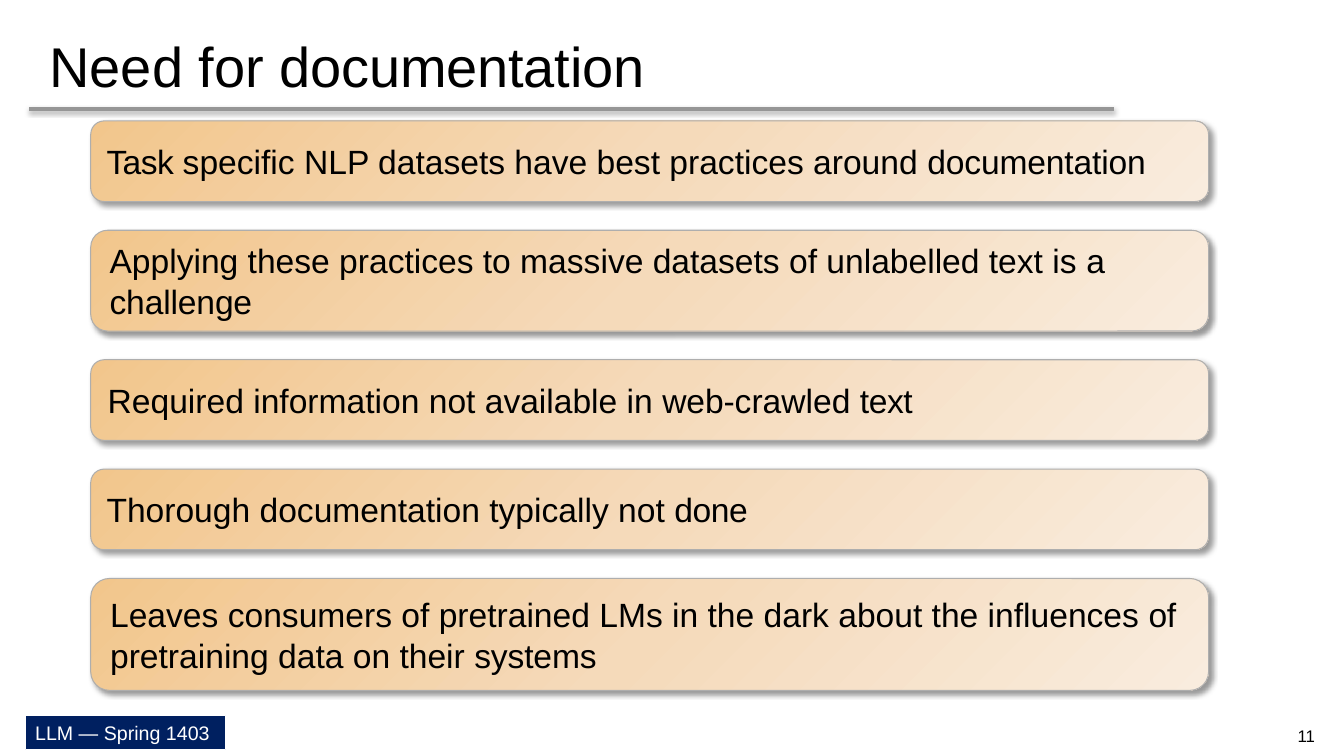
from copy import deepcopy
from dataclasses import dataclass

from lxml.etree import SubElement as Sub
from pptx import Presentation
from pptx.dml.color import RGBColor as RGB
from pptx.enum.shapes import MSO_CONNECTOR as Conn, MSO_SHAPE as Shape
from pptx.enum.text import MSO_ANCHOR as Anchor, PP_ALIGN as Align
from pptx.oxml.ns import qn
from pptx.util import Pt


@dataclass(frozen=True)
class Theme:
    font: str = "Arial"
    ink: str = "000000"
    paper: str = "FFFFFF"
    navy: str = "002060"
    rule: str = "969696"
    edge: str = "AEAEAE"
    fade: tuple = ("F2C68C", "F5DABA", "F9ECDE")
    title: int = 40
    body: int = 24
    foot: int = 14
    page: int = 12


class Deck:
    """Draws styled elements on the current slide, with lengths in points."""

    def __init__(self, theme):
        self.theme = theme
        self.prs = Presentation()
        self.prs.slide_width, self.prs.slide_height = Pt(960), Pt(540)
        self.slide = self.prs.slides.add_slide(self.prs.slide_layouts[6])

    def label(self, shape, runs, size, color, anchor=Anchor.MIDDLE,
              align=Align.LEFT, indent=0, leading=None):
        frame = shape.text_frame
        frame.word_wrap = True
        frame.vertical_anchor = anchor
        para = frame.paragraphs[0]
        para.alignment = align
        if leading:
            para.line_spacing = leading
        para._p.get_or_add_pPr().set("marL", str(Pt(indent)))
        para.font.name, para.font.size = self.theme.font, Pt(size)
        para.font.color.rgb = RGB.from_string(color)
        for text, track in runs:
            run = para.add_run()
            run.text = text
            if track:
                run._r.get_or_add_rPr().set("spc", str(round(track * 100)))
        return frame

    def shade(self, shape, alpha, blur, dist, angle):
        props = shape._element.spPr
        effects = props.find(qn("a:effectLst"))
        if effects is None:
            effects = Sub(props, qn("a:effectLst"))
        shadow = Sub(effects, qn("a:outerShdw"), blurRad=str(Pt(blur)),
                     dist=str(Pt(dist)), dir=str(angle * 60000),
                     algn="ctr", rotWithShape="0")
        color = Sub(shadow, qn("a:srgbClr"), val=self.theme.ink)
        Sub(color, qn("a:alpha"), val=str(alpha * 1000))

    def shape(self, kind, box, edge):
        shape = self.slide.shapes.add_shape(kind, *map(Pt, box))
        shape.shadow.inherit = False
        shape.line.color.rgb = RGB.from_string(edge)
        shape.line.width = Pt(0.75)
        return shape

    def text(self, box, runs, size, **style):
        shape = self.slide.shapes.add_textbox(*map(Pt, box))
        return self.label(shape, runs, size, self.theme.ink, **style)

    def title(self, box, runs):
        frame = self.text(box, runs, self.theme.title, indent=14.4)
        frame.margin_left = frame.margin_right = frame.margin_bottom = 0
        frame.margin_top = Pt(13.7)

    def rule(self, left, right, top):
        line = self.slide.shapes.add_connector(
            Conn.STRAIGHT, Pt(left), Pt(top), Pt(right), Pt(top))
        line.line.color.rgb = RGB.from_string(self.theme.rule)
        line.line.width = Pt(3)
        self.shade(line, 35, 3.1, 1.8, 90)

    def tag(self, box, text):
        shape = self.shape(Shape.RECTANGLE, box, self.theme.paper)
        shape.fill.solid()
        shape.fill.fore_color.rgb = RGB.from_string(self.theme.navy)
        self.label(shape, [(text, 0)], self.theme.foot, self.theme.paper,
                   anchor=Anchor.TOP)

    def card(self, box, runs, indent, leading):
        shape = self.shape(Shape.ROUNDED_RECTANGLE, box, self.theme.edge)
        fill = shape.fill
        fill.gradient()
        fill.gradient_angle = 315
        stops = shape._element.spPr.find(".//" + qn("a:gsLst"))
        stops.append(deepcopy(stops[0]))
        for i, (stop, color) in enumerate(zip(fill.gradient_stops, self.theme.fade)):
            stop.position = i / 2
            stop.color.rgb = RGB.from_string(color)
        self.shade(shape, 40, 4, 3, 45)
        self.label(shape, runs, self.theme.body, self.theme.ink,
                   indent=indent, leading=leading)


CARDS = [
    (57.6, 1.4, None, [
        ("Task ", -0.4),
        ("specific NLP datasets have best practices around ", 0),
        ("documentation", -0.1)]),
    (72, 2.9, 1.01, [
        ("Applying these practices to massive datasets of unlabelled text is ", 0),
        ("a ", -0.7), ("challenge", -0.1)]),
    (57.6, 2.2, 1.01, [
        ("Required information not available in ", 0),
        ("web-", -0.1), ("crawled ", 0), ("text", -0.3)]),
    (57.6, 1.4, None, [
        ("Thorough documentation typically not ", 0), ("done", -0.3)]),
    (79.9, 2.9, 1.01, [
        ("Leaves consumers of pretrained LMs in the dark about the influences ", 0),
        ("of ", -0.3), ("pretraining data on their ", 0), ("systems", -0.1)]),
]


def main():
    deck = Deck(Theme())
    deck.tag((18, 511.2, 143.3, 24.5), "LLM — Spring 1403")
    deck.rule(20.9, 795.6, 77.8)
    deck.title((20.9, 8.6, 918, 62.6), [("Need for", 0), (" documentation", -0.1)])
    top, gap = 86.4, 20.5
    for height, indent, leading, runs in CARDS:
        deck.card((64.8, top, 798.5, height), runs, indent, leading)
        top += height + gap
    deck.text((906.5, 511.2, 53.3, 28.8), [("11", 0)], deck.theme.page,
              align=Align.CENTER)
    deck.prs.save("out.pptx")


if __name__ == "__main__":
    main()
